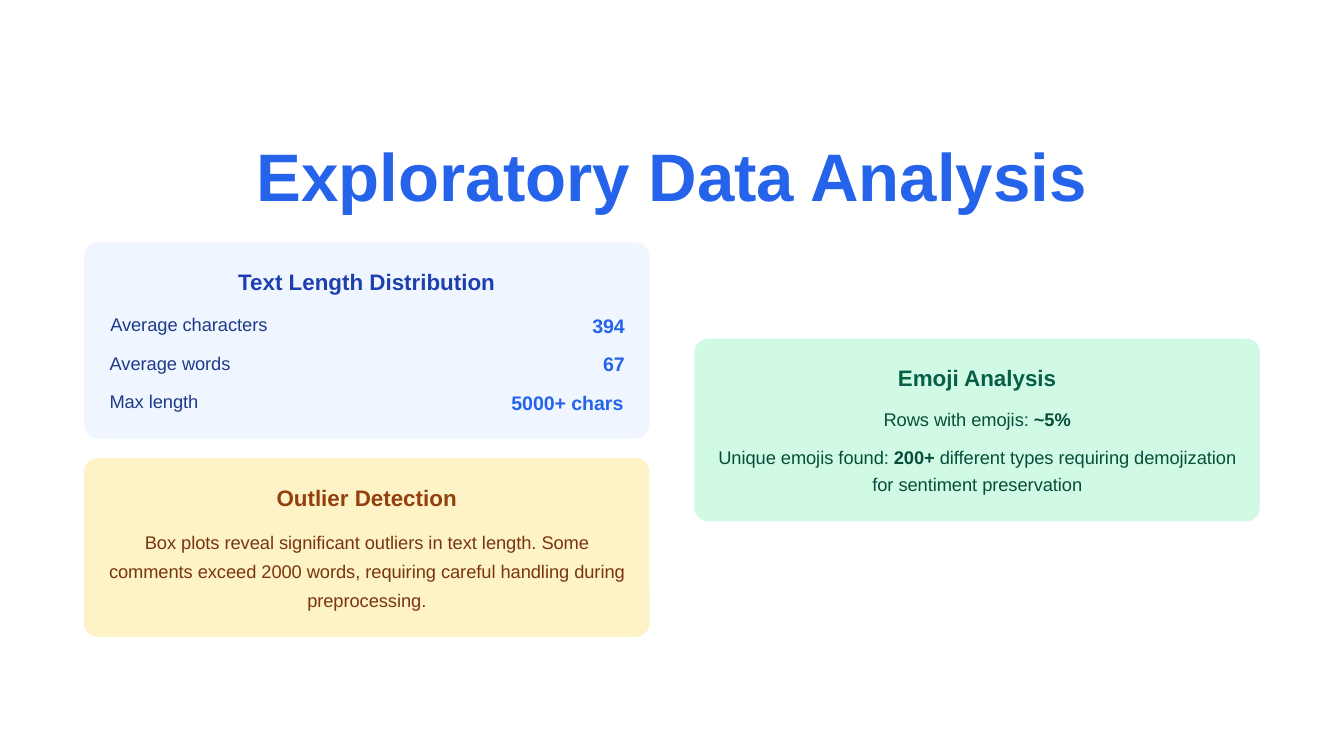
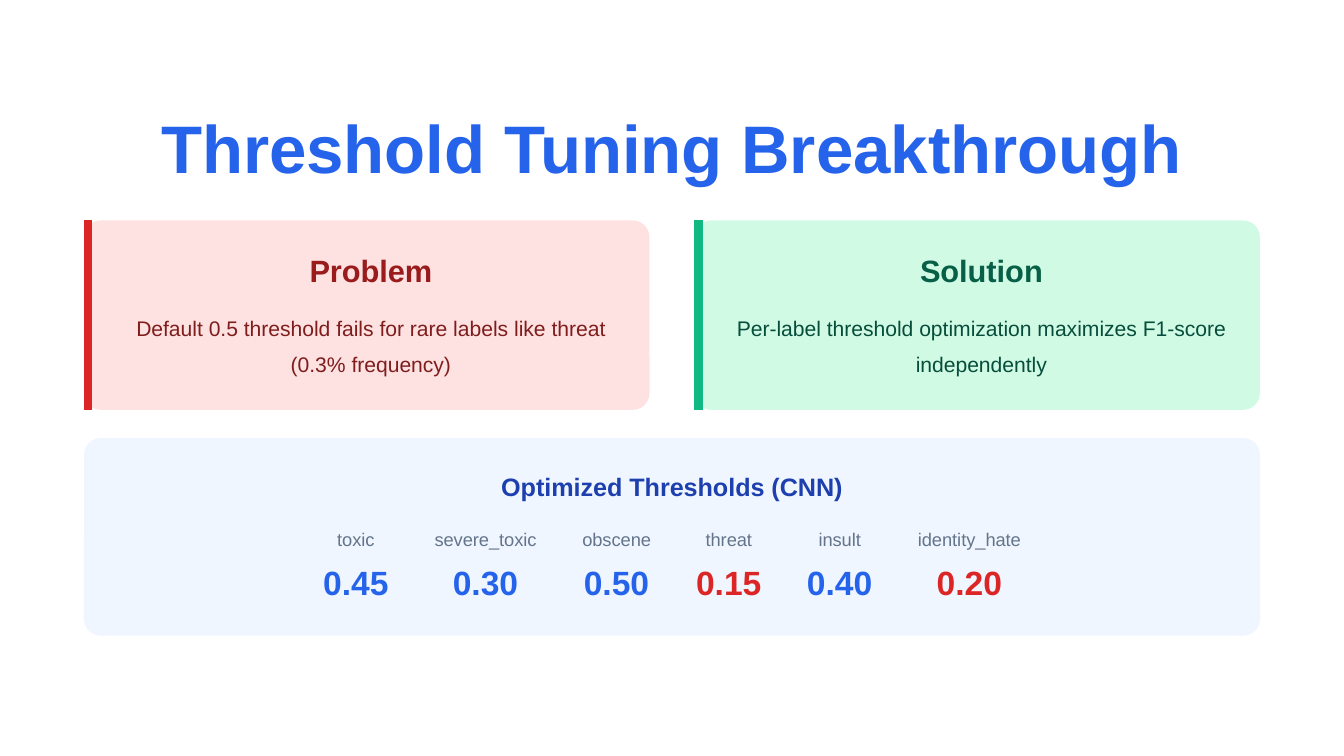
from collections import namedtuple

from pptx import Presentation
from pptx.dml.color import RGBColor as Rgb
from pptx.enum.shapes import MSO_CONNECTOR as Line, MSO_SHAPE as Shape
from pptx.enum.text import PP_ALIGN as Align
from pptx.oxml.ns import qn
from pptx.util import Inches, Pt
from lxml.etree import SubElement

WIDE = Inches(10)
HIGH = WIDE * 9 // 16
CELL = WIDE // 100  # the slide is a grid of 100 square columns
FONT = "Arial"

HUES = {
    "title": "2563EB", "value": "2563EB", "alert": "DC2626", "label": "64748B",
    "blue_fill": "EFF6FF", "blue_head": "1E40AF", "blue_text": "1E3A8A",
    "amber_fill": "FEF3C7", "amber_head": "92400E", "amber_text": "78350F",
    "green_fill": "D1FAE5", "green_head": "065F46", "green_text": "064E3B",
    "green_bar": "10B981",
    "red_fill": "FEE2E2", "red_head": "991B1B", "red_text": "7F1D1D",
    "red_bar": "DC2626",
}

# Size, line spacing and weight
Style = namedtuple("Style", "size lead bold")
STYLES = {
    "title": Style(36, 36, True),
    "head": Style(12, 14.4, True),
    "big_head": Style(16.5, 18.3, True),
    "wide_head": Style(13.5, 16.2, True),
    "label": Style(9.75, 13.7, False),
    "text": Style(9.75, 15.6, False),
    "pair": Style(9.75, 14.6, False),
    "big_text": Style(11.25, 19.1, False),
    "stat": Style(10.5, 14.7, True),
    "score": Style(18, 25.2, True),
}

Box = namedtuple("Box", "x y w h")
LEFT, RIGHT, SPAN = 6.25, 51.67, 42.08  # the two card columns
FULL = 100 - 2 * LEFT


def color(hue):
    return Rgb.from_string(HUES[hue])


def cells(*counts):
    return [round(n * CELL) for n in counts]


def inset(box, side, top, high):
    """A strip inside a box, with equal side margins."""
    return Box(box.x + side, box.y + top, box.w - 2 * side, high)


def write(slide, box, runs, style, hue, wrap=False):
    """Centred text; every second run of a list is bold."""
    look = STYLES[style]
    frame = slide.shapes.add_textbox(*cells(*box)).text_frame
    frame.margin_left = frame.margin_right = 0
    frame.margin_top = frame.margin_bottom = 0
    frame.word_wrap = wrap
    para = frame.paragraphs[0]
    runs = [runs] if isinstance(runs, str) else runs
    para.text = runs[0]
    for part in runs[1:]:
        para.add_run().text = part
    para.alignment = Align.CENTER
    para.line_spacing = Pt(look.lead)
    for i, run in enumerate(para.runs):
        font = run.font
        font.name, font.size = FONT, Pt(look.size)
        font.bold = look.bold or i % 2 == 1
        font.color.rgb = color(hue)


def title(slide, text, top, wide):
    write(slide, Box(50 - wide / 2, top, wide, 5), text, "title", "title")


def panel(slide, box, hue, curve):
    card = slide.shapes.add_shape(Shape.ROUNDED_RECTANGLE, *cells(*box))
    card.adjustments[0] = curve / box.h
    card.shadow.inherit = False
    card.fill.solid()
    card.fill.fore_color.rgb = color(hue + "_fill")
    card.line.fill.background()


def card(slide, box, hue, head):
    panel(slide, box, hue, 1.04)
    write(slide, inset(box, 1.5, 1.9, 2), head, "head", hue + "_head")


def stats(slide, box, rows):
    """Names at the left edge of a box, figures at the right."""
    for i, (name, span, fact, room) in enumerate(rows):
        top = box.y + 5 + 2.87 * i
        write(slide, Box(box.x + 1.8, top, span, 1.9), name, "label", "blue_text")
        edge = box.x + box.w - 1.8
        write(slide, Box(edge - room, top, room, 2), fact, "stat", "value")


def claim(slide, box, hue, head, text):
    """A card with a coloured bar along its left edge."""
    panel(slide, box, hue, 1.25)
    thick = 0.62
    x, top, end = cells(box.x + thick / 2, box.y, box.y + box.h)
    bar = slide.shapes.add_connector(Line.STRAIGHT, x, top, x, end)
    bar.line.color.rgb = color(hue + "_bar")
    bar.line.width = Pt(4.5)
    SubElement(bar._element.spPr, qn("a:effectLst"))
    body = Box(box.x + thick, box.y, box.w - thick, box.h)
    write(slide, inset(body, 11.4, 2.5, 2.5), head, "big_head", hue + "_head")
    write(slide, inset(body, 2.1, 6.3, 5.3), text, "big_text", hue + "_text", True)


def scores(slide, box, head, items):
    """A centred row of labels with a figure under each."""
    panel(slide, box, "blue", 1.25)
    write(slide, inset(box, 1.7, 2.5, 2.2), head, "wide_head", "blue_head")
    gap, least = 3.25, 5
    spans = [max(least, wide) for _, wide, _, _ in items]
    x = box.x + (box.w - sum(spans) - gap * (len(items) - 1)) / 2
    for (name, wide, score, hue), span in zip(items, spans):
        mid = x + span / 2
        write(slide, Box(mid - wide / 2, box.y + 6.4, wide, 1.9),
              name, "label", "label")
        write(slide, Box(mid - least / 2, box.y + 8.7, least, 3.5),
              score, "score", hue)
        x += span + gap


def explore(slide):
    title(slide, "Exploratory Data Analysis", 11, 63.1)

    box = Box(LEFT, 18.04, SPAN, 14.6)
    card(slide, box, "blue", "Text Length Distribution")
    stats(slide, box, [
        ("Average characters", 12, "394", 2.5),
        ("Average words", 9.2, "67", 1.7),
        ("Max length", 6.8, "5000+ chars", 8.6),
    ])

    box = Box(LEFT, 34.1, SPAN, 13.3)
    card(slide, box, "amber", "Outlier Detection")
    write(slide, inset(box, 1.5, 4.9, 6.5),
          "Box plots reveal significant outliers in text length. Some comments "
          "exceed 2000 words, requiring careful handling during preprocessing.",
          "text", "amber_text", True)

    box = Box(RIGHT, 25.2, SPAN, 13.6)
    card(slide, box, "green", "Emoji Analysis")
    write(slide, inset(box, 1.5, 4.9, 1.9), ["Rows with emojis: ", "~5%"],
          "label", "green_text")
    write(slide, inset(box, 1.5, 7.6, 4.1),
          ["Unique emojis found: ", "200+",
           " different types requiring demojization for sentiment preservation"],
          "pair", "green_text", True)


def tune(slide):
    title(slide, "Threshold Tuning Breakthrough", 8.9, 77.6)
    top, high = 16.4, 14.1
    claim(slide, Box(LEFT, top, SPAN, high), "red", "Problem",
          "Default 0.5 threshold fails for rare labels like threat "
          "(0.3% frequency)")
    claim(slide, Box(RIGHT, top, SPAN, high), "green", "Solution",
          "Per-label threshold optimization maximizes F1-score independently")
    scores(slide, Box(LEFT, 32.6, FULL, 14.7), "Optimized Thresholds (CNN)", [
        ("toxic", 2.8, "0.45", "value"),
        ("severe_toxic", 7.8, "0.30", "value"),
        ("obscene", 5.2, "0.50", "value"),
        ("threat", 3.5, "0.15", "alert"),
        ("insult", 3.2, "0.40", "value"),
        ("identity_hate", 7.8, "0.20", "alert"),
    ])


def main():
    deck = Presentation()
    deck.slide_width, deck.slide_height = WIDE, HIGH
    for fill in (explore, tune):
        fill(deck.slides.add_slide(deck.slide_layouts[6]))
    deck.save("out.pptx")


if __name__ == "__main__":
    main()
